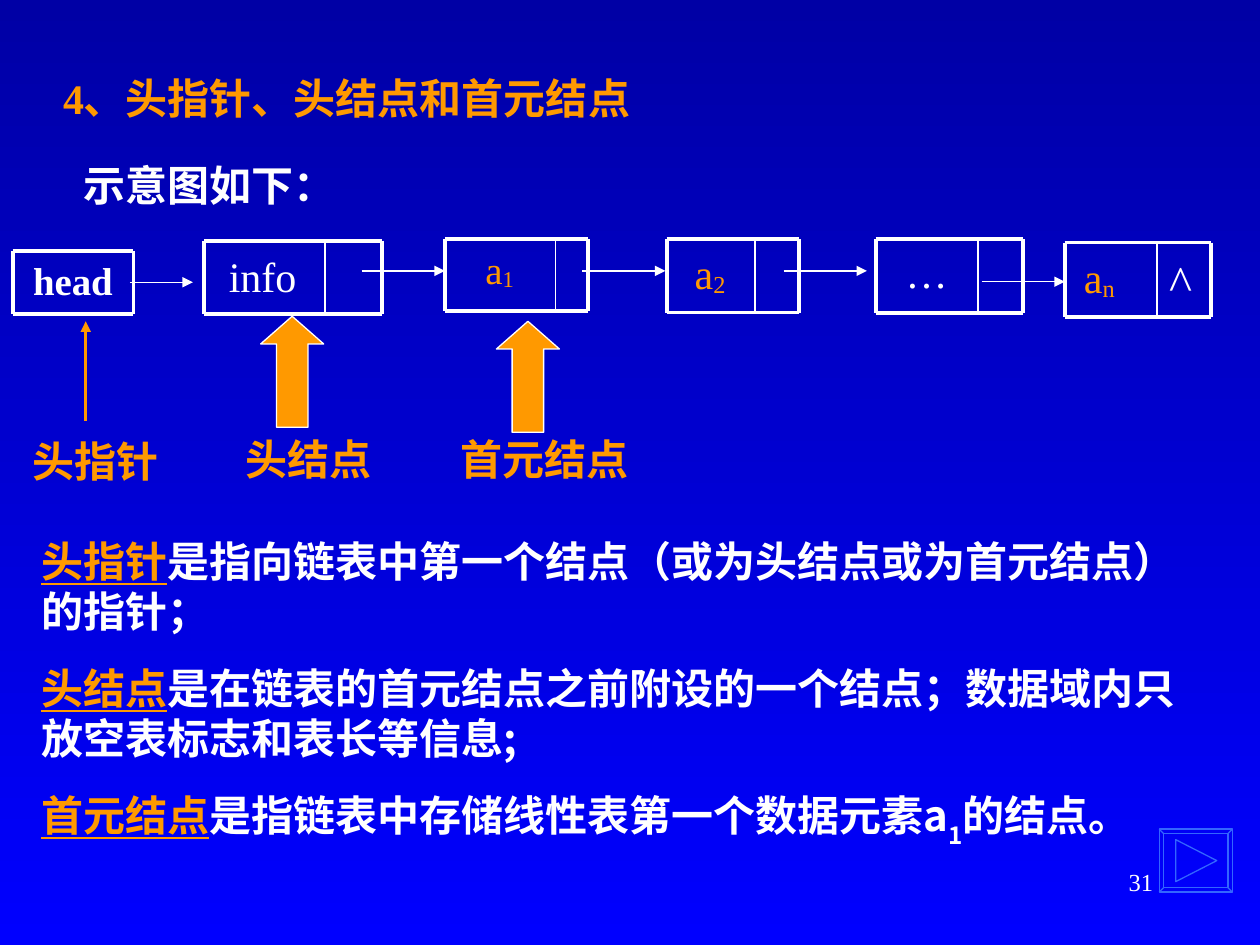
"""Build the slide on head pointers, head nodes and first element nodes of a linked list."""
from dataclasses import dataclass
from typing import NamedTuple, Optional

from lxml import etree
from pptx import Presentation
from pptx.dml.color import RGBColor
from pptx.enum.shapes import MSO_CONNECTOR, MSO_SHAPE
from pptx.enum.text import MSO_ANCHOR, MSO_AUTO_SIZE, PP_ALIGN
from pptx.oxml.ns import qn
from pptx.util import Pt

STRAIGHT = MSO_CONNECTOR.STRAIGHT
UP_ARROW, BEVEL = MSO_SHAPE.UP_ARROW, MSO_SHAPE.BEVEL
LEFT, CENTER, RIGHT = PP_ALIGN.LEFT, PP_ALIGN.CENTER, PP_ALIGN.RIGHT
TOP, BOTTOM = MSO_ANCHOR.TOP, MSO_ANCHOR.BOTTOM
NO_AUTOSIZE = MSO_AUTO_SIZE.NONE


@dataclass(frozen=True)
class Theme:
    """Colours, fonts, type sizes and line widths."""
    accent: str = "FF9900"
    white: str = "FFFFFF"
    button: str = "3366FF"
    sky: tuple = ("0000A5", "0000FF")
    serif: str = "Times New Roman"
    sans: str = "Noto Sans CJK SC"
    body: float = 24
    small: float = 22.2
    caret: float = 28
    number: float = 14
    thick: float = 2.25
    medium: float = 2
    divider: float = 1
    thin: float = 0.75


THEME = Theme()


class Area(NamedTuple):
    """Place and size in points."""
    left: float
    top: float
    width: float
    height: float


class Run(NamedTuple):
    """Text with one look; baseline is in thousandths of a percent."""
    text: str
    color: str = THEME.white
    underline: bool = False
    baseline: int = 0


class Node(NamedTuple):
    """Frame of a list node, with an optional divider."""
    left: float
    top: float
    right: float
    bottom: float
    divider: Optional[float] = None


class Label(NamedTuple):
    """Text inside a node."""
    area: Area
    runs: list
    size: float = THEME.body
    bold: bool = False
    align: PP_ALIGN = CENTER


class Link(NamedTuple):
    """Horizontal arrow between nodes."""
    start: float
    end: float
    height: float


def element(name: str) -> str:
    return etree.QName(qn(name)).text


def write_text(box, paragraphs: list, *, size: float = THEME.body, font: str = THEME.serif,
               bold: bool = False, align: PP_ALIGN = LEFT, anchor: MSO_ANCHOR = TOP,
               wrap: bool = True, gap: float = 0) -> None:
    """Fill a box with paragraphs, each a list of runs."""
    frame = box.text_frame
    frame.auto_size = NO_AUTOSIZE
    frame.word_wrap = wrap
    frame.vertical_anchor = anchor
    for index, runs in enumerate(paragraphs):
        para = frame.add_paragraph() if index else frame.paragraphs[0]
        para.alignment = align
        para.space_before = Pt(gap if index else 0)
        for run in runs:
            span = para.add_run()
            span.text = run.text
            span.font.size = Pt(size)
            span.font.bold = bold
            span.font.name = font
            span.font.color.rgb = RGBColor.from_string(run.color)
            span.font.underline = run.underline
            properties = span.font._element
            east_asian = etree.Element(element("a:ea"), typeface=THEME.sans)
            properties.find(qn("a:latin")).addnext(east_asian)
            if run.baseline:
                properties.set("baseline", str(run.baseline))


def place(shape, area: Area) -> None:
    """Move and size a shape."""
    shape.left, shape.top, shape.width, shape.height = map(Pt, area)


def add_text(page, area: Area, paragraphs: list, **look) -> None:
    """Add a text box."""
    write_text(page.shapes.add_textbox(*map(Pt, area)), paragraphs, **look)


def add_line(page, start: tuple, end: tuple, *, color: str = THEME.white,
             width: float = THEME.thick, arrow: bool = False) -> None:
    """Draw a straight line, with an arrowhead at its end if asked."""
    line = page.shapes.add_connector(STRAIGHT, *map(Pt, start + end))
    line.line.color.rgb = RGBColor.from_string(color)
    line.line.width = Pt(width)
    if arrow:
        etree.SubElement(line.line._get_or_add_ln(), element("a:tailEnd"), type="triangle")
    etree.SubElement(line._element.spPr, element("a:effectLst"))


def add_node(page, node: Node) -> None:
    """Draw the four edges and the divider of a node."""
    left, top, right, bottom, divider = node
    for height in (top, bottom):
        add_line(page, (left, height), (right, height))
    for across in (left, right):
        add_line(page, (across, top), (across, bottom))
    if divider is not None:
        add_line(page, (divider, top), (divider, bottom), width=THEME.divider)


def paint(shape, line: str, fill: Optional[str] = None) -> None:
    """Give a shape a thin line, a fill or none, and no shadow."""
    shape.shadow.inherit = False
    shape.line.color.rgb = RGBColor.from_string(line)
    shape.line.width = Pt(THEME.thin)
    if fill:
        shape.fill.solid()
        shape.fill.fore_color.rgb = RGBColor.from_string(fill)
    else:
        shape.fill.background()


def add_block_arrow(page, area: Area) -> None:
    """Draw an upward block arrow."""
    arrow = page.shapes.add_shape(UP_ARROW, *map(Pt, area))
    arrow.adjustments[1] = 0.44
    paint(arrow, THEME.white, THEME.accent)


def add_next_button(page, area: Area) -> None:
    """Draw a bevelled button with a triangle pointing right."""
    frame = page.shapes.add_shape(BEVEL, *map(Pt, area))
    frame.adjustments[0] = 0.07
    paint(frame, THEME.button)
    left, middle = area.left + 9.4, area.top + area.height / 2
    builder = page.shapes.build_freeform(Pt(left), Pt(middle - 12))
    builder.add_line_segments([(Pt(left + 23.5), Pt(middle)), (Pt(left), Pt(middle + 12))])
    paint(builder.convert_to_shape(), THEME.button)


def element_runs(index: str) -> list:
    """Return the runs of the letter a with an index."""
    return [Run("a", THEME.accent), Run(index, THEME.accent, baseline=-8000)]


NODES = [Node(7.2, 143.3, 76.3, 179.3), Node(116.6, 137.5, 218.2, 179.3, 185.8),
         Node(254.2, 136.8, 336.2, 177.8, 317.5), Node(380.9, 136.8, 456.5, 178.6, 431.3),
         Node(500.4, 136.8, 584.6, 178.9, 558.7), Node(608.4, 138.6, 691.9, 181.1, 661)]
LABELS = [Label(Area(7.2, 143.3, 69.1, 36), [Run("head")], THEME.small, True),
          Label(Area(116.6, 139.7, 67, 41), [Run("info")]),
          Label(Area(254.2, 136.8, 62.6, 36), element_runs("1"), THEME.small),
          Label(Area(380.9, 138.2, 49.7, 41), element_runs("2")),
          Label(Area(500.4, 137.5, 58.3, 41), [Run("…")]),
          Label(Area(608.4, 140.4, 39.6, 41), element_runs("n")),
          Label(Area(661, 140.4, 36.7, 41), [Run("^")], THEME.caret, align=LEFT)]
LINKS = [Link(74.2, 110.2, 161.3), Link(206.6, 254.2, 154.8), Link(332.6, 380.2, 154.8),
         Link(447.8, 495.4, 154.8), Link(560.9, 608.4, 161)]
CAPTIONS = [("头指针", Area(11.5, 245.5, 86.4, 36)), ("头结点", Area(133.2, 244.1, 86.4, 36)),
            ("首元结点", Area(256.3, 244.1, 110.2, 36))]
BLOCK_ARROWS = [Area(149, 180.7, 36, 63.4), Area(283.7, 183.6, 36, 63.4)]
DEFINITIONS = [
    [Run("头指针", THEME.accent, True), Run("是指向链表中第一个结点（或为头结点或为首元结点）的指针；")],
    [Run("头结点", THEME.accent, True),
     Run("是在链表的首元结点之前附设的一个结点；数据域内只放空表标志和表长等信息;")],
    [Run("首元结点", THEME.accent, True), Run("是指链表中存储线性表第一个数据元素a"),
     Run("1", baseline=-30000), Run("的结点。")]]


def main() -> None:
    """Build and save the deck."""
    deck = Presentation()
    deck.slide_width, deck.slide_height = Pt(720), Pt(540)
    page = deck.slides.add_slide(deck.slide_layouts[1])
    sky = page.background.fill
    sky.gradient()
    sky.gradient_angle = 270
    for stop, color in zip(sky.gradient_stops, THEME.sky):
        stop.color.rgb = RGBColor.from_string(color)

    title, body = page.shapes.title, page.placeholders[1]
    place(title, Area(28.8, 25.9, 368.6, 44.6))
    title.text_frame.margin_bottom = 0
    write_text(title, [[Run("4、头指针、头结点和首元结点", THEME.accent)]], bold=True, anchor=BOTTOM)
    place(body, Area(40.3, 87.8, 194.4, 39.6))
    properties = body.text_frame.paragraphs[0]._p.get_or_add_pPr()
    properties.set("marL", "0")
    properties.set("indent", "0")
    etree.SubElement(properties, element("a:buNone"))
    write_text(body, [[Run("示意图如下：")]], bold=True)

    for node in NODES:
        add_node(page, node)
    for label in LABELS:
        add_text(page, label.area, [label.runs], size=label.size, bold=label.bold,
                 align=label.align)
    for link in LINKS:
        add_line(page, (link.start, link.height), (link.end, link.height),
                 width=THEME.thin, arrow=True)
    add_line(page, (49, 240.5), (49, 183.6), color=THEME.accent, width=THEME.medium, arrow=True)
    for area in BLOCK_ARROWS:
        add_block_arrow(page, area)
    for text, area in CAPTIONS:
        add_text(page, area, [[Run(text, THEME.accent)]], bold=True, align=CENTER, wrap=False)
    add_text(page, Area(16.6, 302.4, 662.4, 186.5), DEFINITIONS, font=THEME.sans, bold=True, gap=15)
    add_text(page, Area(516.2, 491.8, 149.8, 36), [[Run("31")]], size=THEME.number, align=RIGHT)
    add_next_button(page, Area(662.4, 473.8, 41.8, 36))
    deck.save("out.pptx")


if __name__ == "__main__":
    main()
